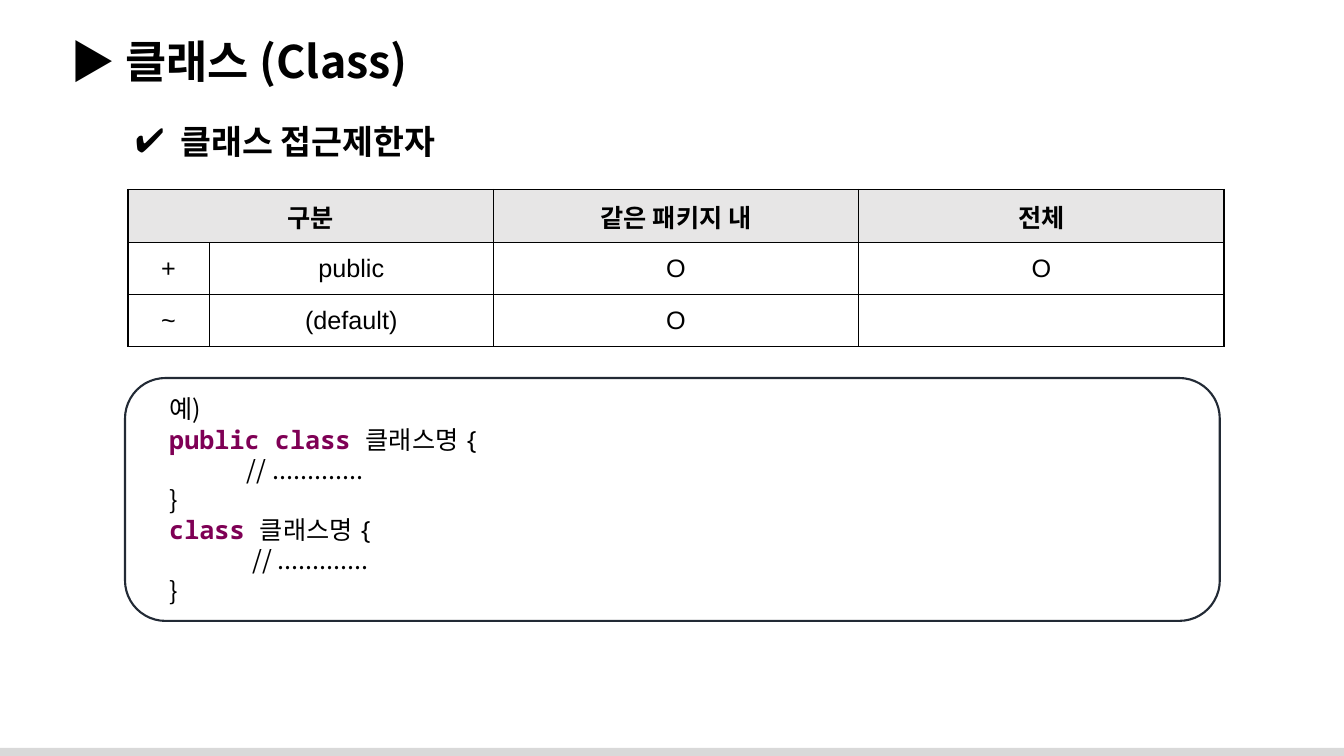
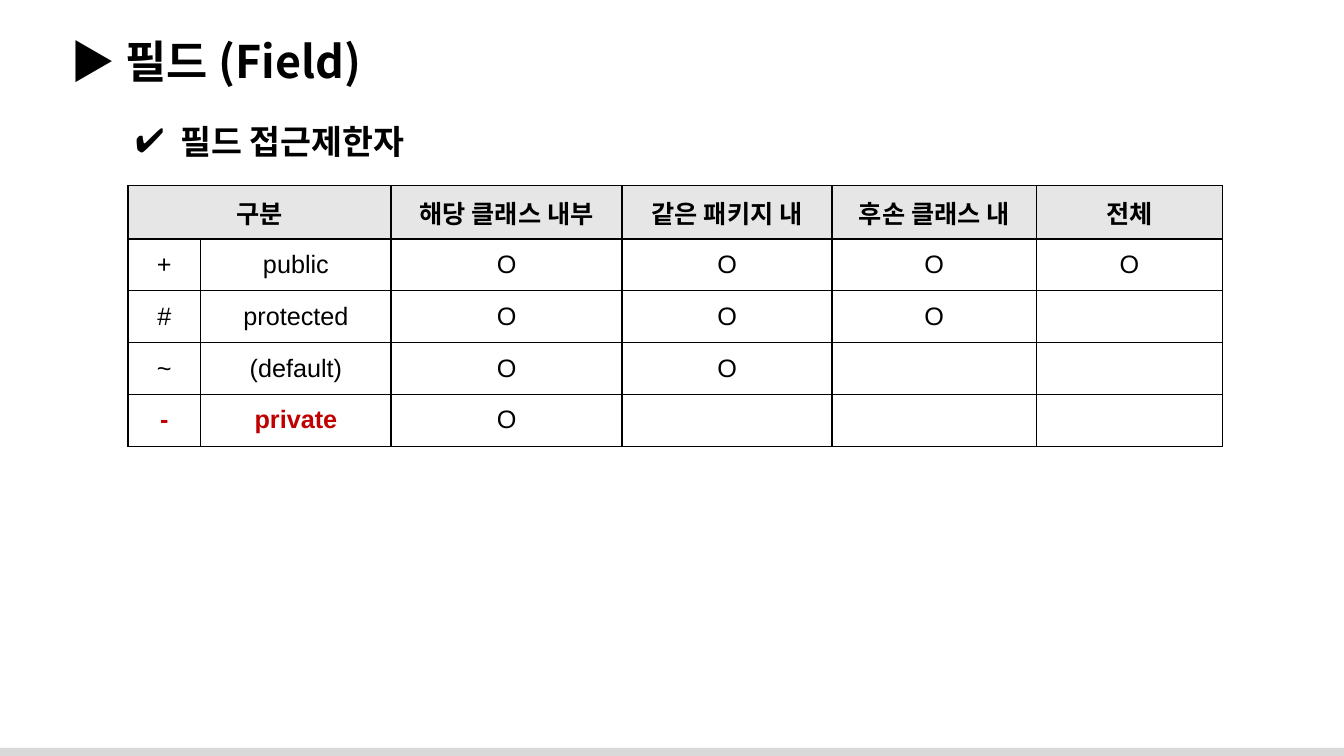
from lxml.etree import SubElement
from pptx import Presentation
from pptx.dml.color import RGBColor
from pptx.enum.shapes import MSO_SHAPE
from pptx.enum.text import MSO_ANCHOR, PP_ALIGN
from pptx.oxml.ns import qn
from pptx.util import Pt

BLACK, RED, PURPLE = "000000", "C00000", "7F0055"
NAVY, HEADER_GRAY, BAND_GRAY = "222A35", "E7E6E6", "D9D9D9"
KOREAN, MONO, LATIN = "Noto Sans CJK KR", "Noto Sans Mono", "Arial"
TABLE_LEFT, HEADER_HEIGHT, ROW_HEIGHT = 91.4, 38, 37

SLIDES = [
    {
        "title": "▶ 클래스 (Class)",
        "heading": "클래스 접근제한자",
        "top": 135.4,
        "widths": [58, 203, 261, 261],
        "rows": [
            ["구분", "", "같은 패키지 내", "전체"],
            ["+", "public", "O", "O"],
            ["~", "(default)", "O", ""],
        ],
        "red": [],
        # Each line: left indent, keyword, remaining text, font
        "code": [
            (16, "", "예)", KOREAN),
            (16, "public class ", "클래스명 {", MONO),
            (71.5, "", "// .............", KOREAN),
            (16, "", "}", KOREAN),
            (16, "class ", "클래스명 {", MONO),
            (75.5, "", "// .............", KOREAN),
            (16, "", "}", KOREAN),
        ],
    },
    {
        "title": "▶ 필드 (Field)",
        "heading": "필드 접근제한자",
        "top": 132.7,
        "widths": [52, 136, 165, 150, 146, 133],
        "rows": [
            ["구분", "", "해당 클래스 내부", "같은 패키지 내", "후손 클래스 내", "전체"],
            ["+", "public", "O", "O", "O", "O"],
            ["#", "protected", "O", "O", "O", ""],
            ["~", "(default)", "O", "O", "", ""],
            ["-", "private", "O", "", "", ""],
        ],
        "red": ["-", "private"],
        "code": [],
    },
]


def rgb(color):
    return RGBColor.from_string(color)


def style(r, size, font=KOREAN, color=BLACK, bold=False):
    r.font.size, r.font.name, r.font.bold = Pt(size), font, bold
    r.font.color.rgb = rgb(color)
    SubElement(r.font._element, qn("a:ea"), typeface=KOREAN)


def place(shape, left, top, width, height):
    shape.left, shape.top = Pt(left), Pt(top)
    shape.width, shape.height = Pt(width), Pt(height)


def indent(p, left, first=0):
    pPr = p._p.get_or_add_pPr()
    pPr.set("marL", str(Pt(left)))
    pPr.set("indent", str(Pt(first)))
    return pPr


def fill_placeholder(shape, text, size):
    tf = shape.text_frame
    tf.text = text
    tf.vertical_anchor = MSO_ANCHOR.MIDDLE
    p = tf.paragraphs[0]
    p.alignment, p.space_before = PP_ALIGN.LEFT, Pt(0)
    style(p.runs[0], size, bold=True)
    return p


def add_heading(s, text):
    body = s.placeholders[1]
    place(body, 89.3, 82.8, 253, 36)
    p = fill_placeholder(body, text, 24)
    pPr = indent(p, 32.4, -32.4)
    SubElement(SubElement(pPr, qn("a:buClr")), qn("a:srgbClr"), val=BLACK)
    SubElement(pPr, qn("a:buChar"), char="✔")


def add_borders(cell):
    tcPr = cell._tc.get_or_add_tcPr()
    for side in ("lnL", "lnR", "lnT", "lnB"):
        ln = SubElement(tcPr, qn(f"a:{side}"), w=str(Pt(1)))
        SubElement(SubElement(ln, qn("a:solidFill")), qn("a:srgbClr"), val=BLACK)


def add_access_table(s, top, widths, rows, red):
    heights = [HEADER_HEIGHT] + [ROW_HEIGHT] * (len(rows) - 1)
    table = s.shapes.add_table(len(rows), len(widths), Pt(TABLE_LEFT), Pt(top),
                               Pt(sum(widths)), Pt(sum(heights))).table
    table.first_row = table.horz_banding = False
    for column, width in zip(table.columns, widths):
        column.width = Pt(width)
    for i, (row, height) in enumerate(zip(rows, heights)):
        table.rows[i].height = Pt(height)
        for j, text in enumerate(row):
            cell = table.cell(i, j)
            add_borders(cell)
            cell.vertical_anchor = MSO_ANCHOR.MIDDLE
            if i == 0:
                cell.fill.solid()
                cell.fill.fore_color.rgb = rgb(HEADER_GRAY)
            else:
                cell.fill.background()
            if text:
                cell.text = text
                p = cell.text_frame.paragraphs[0]
                p.alignment = PP_ALIGN.CENTER
                style(p.runs[0], 18, LATIN, RED if text in red else BLACK,
                      i == 0 or text in red)
    table.cell(0, 0).merge(table.cell(0, 1))


def add_code_box(s, lines):
    box = s.shapes.add_shape(MSO_SHAPE.ROUNDED_RECTANGLE,
                             Pt(89.3), Pt(270), Pt(782), Pt(173.5))
    box.shadow.inherit = False
    box.fill.background()
    box.line.color.rgb = rgb(NAVY)
    box.line.width = Pt(1.5)
    tf = box.text_frame
    tf.vertical_anchor = MSO_ANCHOR.MIDDLE
    for i, (left, keyword, text, font) in enumerate(lines):
        p = tf.add_paragraph() if i else tf.paragraphs[0]
        p.alignment, p.line_spacing = PP_ALIGN.LEFT, Pt(21.6)
        indent(p, left)
        if keyword:
            r = p.add_run()
            r.text = keyword
            style(r, 18, MONO, PURPLE, True)
        r = p.add_run()
        r.text = text
        style(r, 18, font)


def move_band_to_layout(s, layout):
    """Draw the bottom band once, behind every slide of the layout."""
    band = s.shapes.add_shape(MSO_SHAPE.RECTANGLE, Pt(-2), Pt(534.2), Pt(964), Pt(8))
    band.shadow.inherit = False
    band.fill.solid()
    band.fill.fore_color.rgb = rgb(BAND_GRAY)
    band.line.fill.background()
    layout.shapes.element.append(band.element)


def main():
    prs = Presentation()
    prs.slide_width, prs.slide_height = Pt(960), Pt(540)
    layout = prs.slide_layouts[1]
    for content in SLIDES:
        s = prs.slides.add_slide(layout)
        place(s.shapes.title, 43.2, 20.2, 907, 46)
        fill_placeholder(s.shapes.title, content["title"], 32)
        add_heading(s, content["heading"])
        add_access_table(s, content["top"], content["widths"],
                         content["rows"], content["red"])
        if content["code"]:
            add_code_box(s, content["code"])
    move_band_to_layout(prs.slides[0], layout)
    prs.save("out.pptx")


if __name__ == "__main__":
    main()
